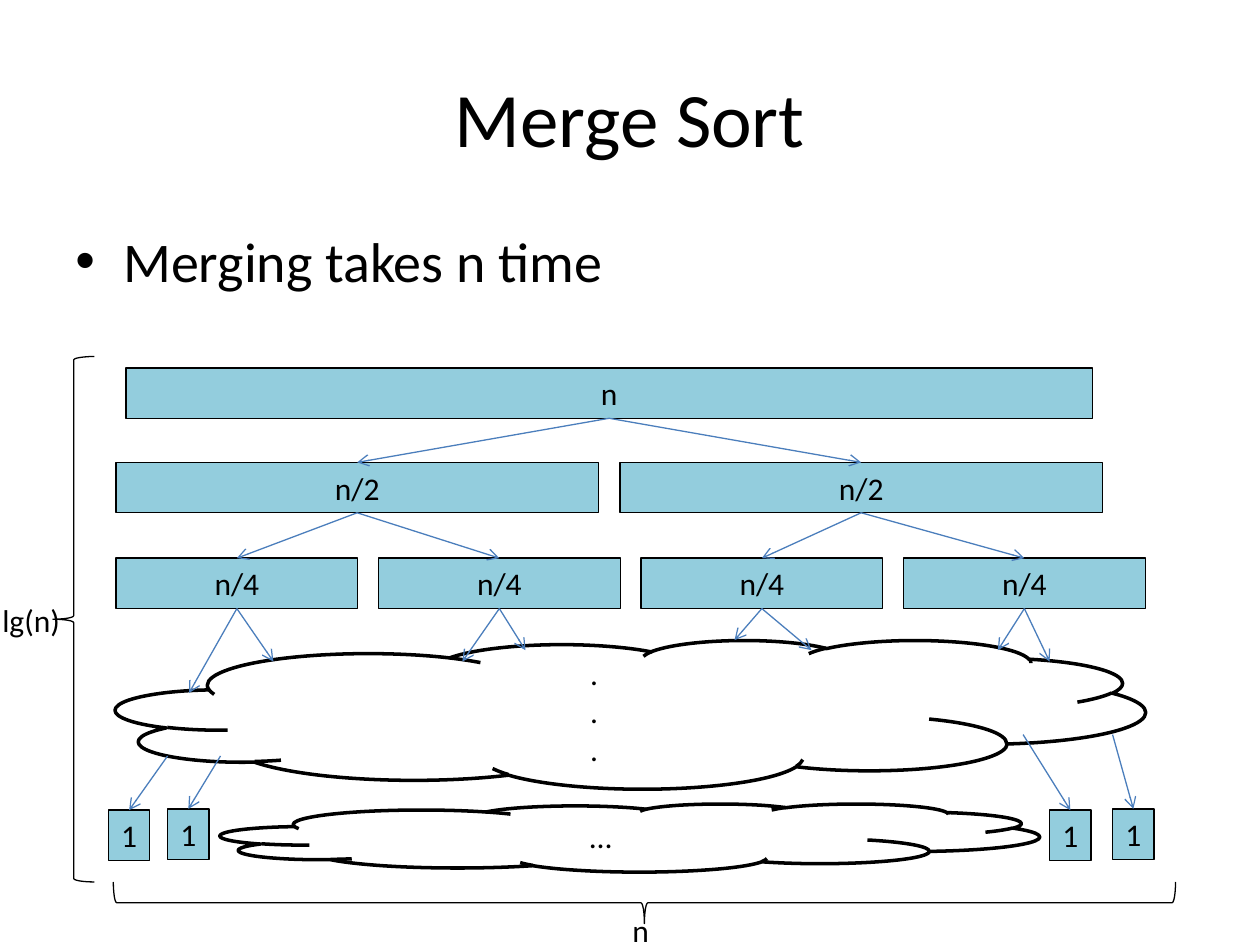
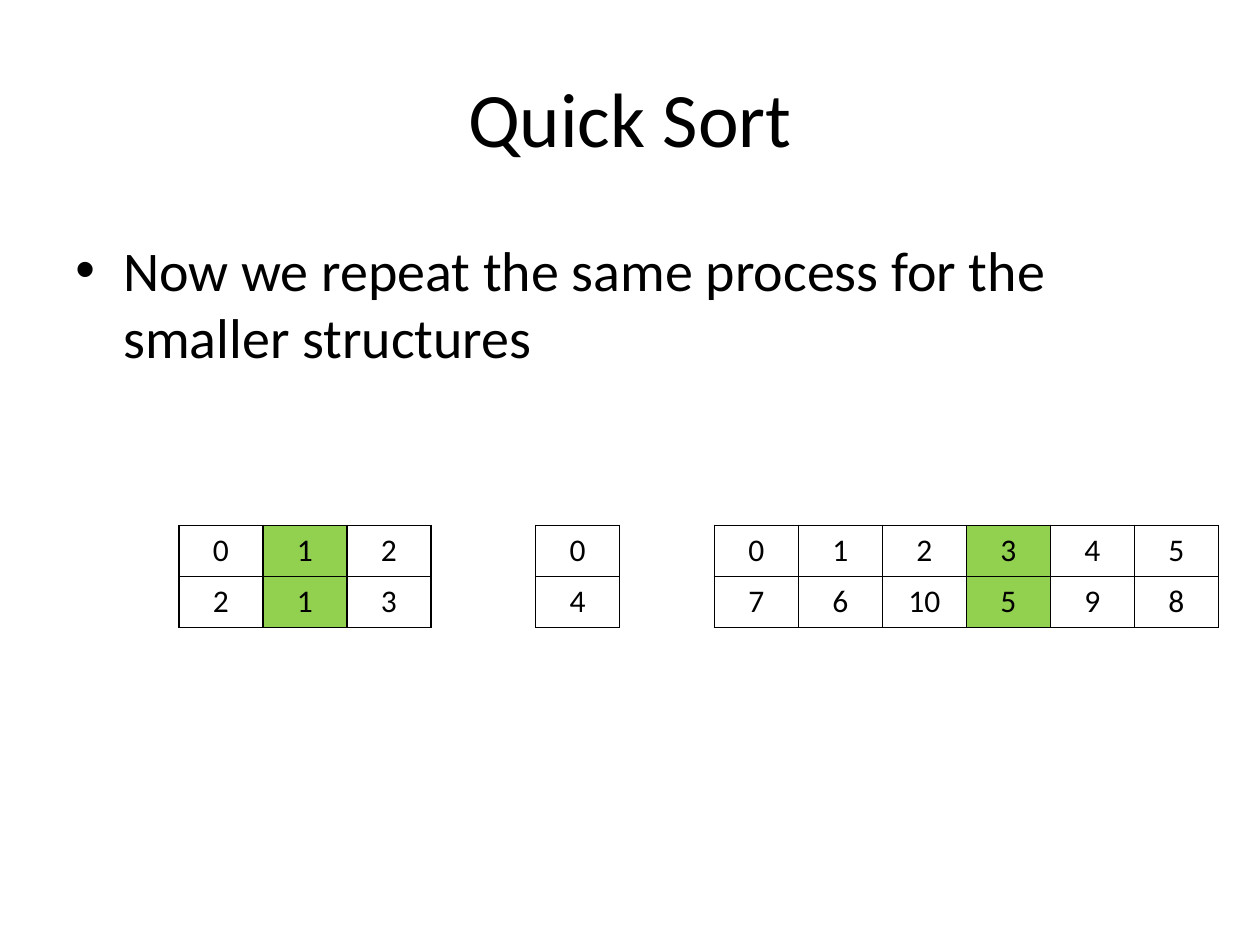
import pptx
import pptx.util
import pptx.dml.color
import pptx.enum.shapes
import pptx.enum.text
import pptx.oxml.ns
from lxml import etree

Inches = pptx.util.Inches
Pt = pptx.util.Pt
Shape = pptx.enum.shapes.MSO_SHAPE
Align = pptx.enum.text.PP_ALIGN
Anchor = pptx.enum.text.MSO_ANCHOR
qn = pptx.oxml.ns.qn

COLORS = {"ink": "000000", "paper": "FFFFFF", "box": "93CDDD",
          "arrow": "4B7EBC", "pivot": "92D050"}
FONT = "Calibri"


def rgb(name):
    return pptx.dml.color.RGBColor.from_string(COLORS[name])


class Deck:
    def __init__(self):
        self.prs = pptx.Presentation()
        self.prs.slide_width = Inches(10)
        self.prs.slide_height = Inches(7.5)
        self.slide = None

    def style(self, frame, text, size=18, align=Align.CENTER):
        frame.word_wrap = True
        frame.text = text
        for para in frame.paragraphs:
            para.alignment = align
            para.font.name = FONT
            para.font.size = Pt(size)
            para.font.color.rgb = rgb("ink")

    def start(self, title):
        self.slide = self.prs.slides.add_slide(self.prs.slide_layouts[5])
        head = self.slide.shapes.title
        head.left, head.top = Inches(0.5), Inches(0.3)
        head.width, head.height = Inches(9), Inches(1.25)
        head.text_frame.vertical_anchor = Anchor.MIDDLE
        self.style(head.text_frame, title, 44)

    def label(self, text, left, top, width, height, size=18, align=Align.CENTER):
        area = self.slide.shapes.add_textbox(
            Inches(left), Inches(top), Inches(width), Inches(height))
        self.style(area.text_frame, text, size, align)
        return area

    def bullet(self, text, top):
        area = self.label(text, 0.5, top, 9, 4.95, 32, Align.LEFT)
        props = area.text_frame.paragraphs[0]._p.get_or_add_pPr()
        props.set("marL", str(Inches(0.38)))
        props.set("indent", str(-Inches(0.38)))
        bullet = etree.Element(qn("a:buChar"), char="•")
        font = etree.Element(qn("a:buFont"), typeface="Arial")
        props[:0] = [font, bullet]

    def shape(self, kind, left, top, width, height, text="", fill=None, weight=0.75):
        item = self.slide.shapes.add_shape(
            kind, Inches(left), Inches(top), Inches(width), Inches(height))
        item.shadow.inherit = False
        if fill:
            item.fill.solid()
            item.fill.fore_color.rgb = rgb(fill)
        else:
            item.fill.background()
        item.line.color.rgb = rgb("ink")
        item.line.width = Pt(weight)
        if text:
            self.style(item.text_frame, text)
        return item

    def box(self, text, left, top, width):
        return self.shape(Shape.RECTANGLE, left, top, width, 0.4, text, "box")

    def cloud(self, text, left, top, width, height):
        return self.shape(Shape.CLOUD, left, top, width, height, text, "paper", 2)

    def brace(self, left, top, width, height, turn=0):
        self.shape(Shape.LEFT_BRACE, left, top, width, height).rotation = turn

    def arrow(self, start=(0, 0), end=(0, 0), source=None, target=None):
        link = self.slide.shapes.add_connector(
            pptx.enum.shapes.MSO_CONNECTOR.STRAIGHT,
            *[Inches(v) for v in (*start, *end)])
        if source is not None:
            link.begin_connect(source, 2)
        if target is not None:
            link.end_connect(target, 0)
        link.line.color.rgb = rgb("arrow")
        link.line.width = Pt(0.75)
        props = link._element.spPr
        etree.SubElement(props.find(qn("a:ln")), qn("a:tailEnd"), type="arrow")
        etree.SubElement(props, qn("a:effectLst"))

    def edge(self, cell):
        props = cell._tc.get_or_add_tcPr()
        for side in ("lnL", "lnR", "lnT", "lnB"):
            line = etree.SubElement(props, qn("a:" + side), w=str(Pt(1)))
            fill = etree.SubElement(line, qn("a:solidFill"))
            etree.SubElement(fill, qn("a:srgbClr"), val=COLORS["ink"])

    def array(self, values, left, pivot=None):
        rows = (range(len(values)), values)
        grid = self.slide.shapes.add_table(
            2, len(values), Inches(left), Inches(4.17),
            Inches(len(values) * 2 / 3), Inches(0.81)).table
        for r, row in enumerate(rows):
            for c, value in enumerate(row):
                cell = grid.cell(r, c)
                self.edge(cell)
                cell.fill.solid()
                cell.fill.fore_color.rgb = rgb("pivot" if c == pivot else "paper")
                self.style(cell.text_frame, str(value))


def merge(deck):
    deck.start("Merge Sort")
    deck.bullet("Merging takes n time", 1.75)

    root = deck.box("n", 1, 2.92, 7.67)
    halves = [deck.box("n/2", 0.92 + 4 * i, 3.67, 3.83) for i in range(2)]
    quarts = [deck.box("n/4", 0.92 + 25 / 12 * i, 4.43, 1.92) for i in range(4)]
    deck.cloud(".\n.\n.", 0.92, 5.08, 8.17, 1.18)
    deck.cloud("…", 1.75, 6.38, 6.5, 0.54)
    leaves = [deck.box("1", x, y, 0.33) for x, y in
              ((0.86, 6.43), (1.33, 6.42), (8.33, 6.43), (8.83, 6.42))]

    nodes = [root] + halves + quarts
    for i, node in enumerate(nodes[1:]):
        deck.arrow(source=nodes[i // 2], target=node)
    ends = ((1.5, 5.5), (2.17, 5.25), (3.67, 5.25), (4.17, 5.16),
            (5.83, 5.08), (6.44, 5.16), (7.92, 5.16), (8.33, 5.25))
    for i, end in enumerate(ends):
        deck.arrow(end=end, source=quarts[i // 2])
    starts = ((1.33, 6), (1.75, 6), (8.12, 5.83), (8.83, 5.83))
    for start, leaf in zip(starts, leaves):
        deck.arrow(start=start, target=leaf)

    deck.brace(0.42, 2.83, 0.33, 4.17)
    deck.label("lg(n)", -0.08, 4.72, 0.67, 0.4, align=Align.LEFT)
    deck.brace(4.95, 2.95, 0.33, 8.43, 270)
    deck.label("n", 4.75, 7.18, 0.67, 0.4)


def quick(deck):
    deck.start("Quick Sort")
    deck.bullet("Now we repeat the same process for the smaller structures", 1.82)
    deck.array((2, 1, 3), 1.42, 1)
    deck.array((4,), 4.25)
    deck.array((7, 6, 10, 5, 9, 8), 5.67, 3)


def main():
    deck = Deck()
    merge(deck)
    quick(deck)
    deck.prs.save("out.pptx")


if __name__ == "__main__":
    main()
